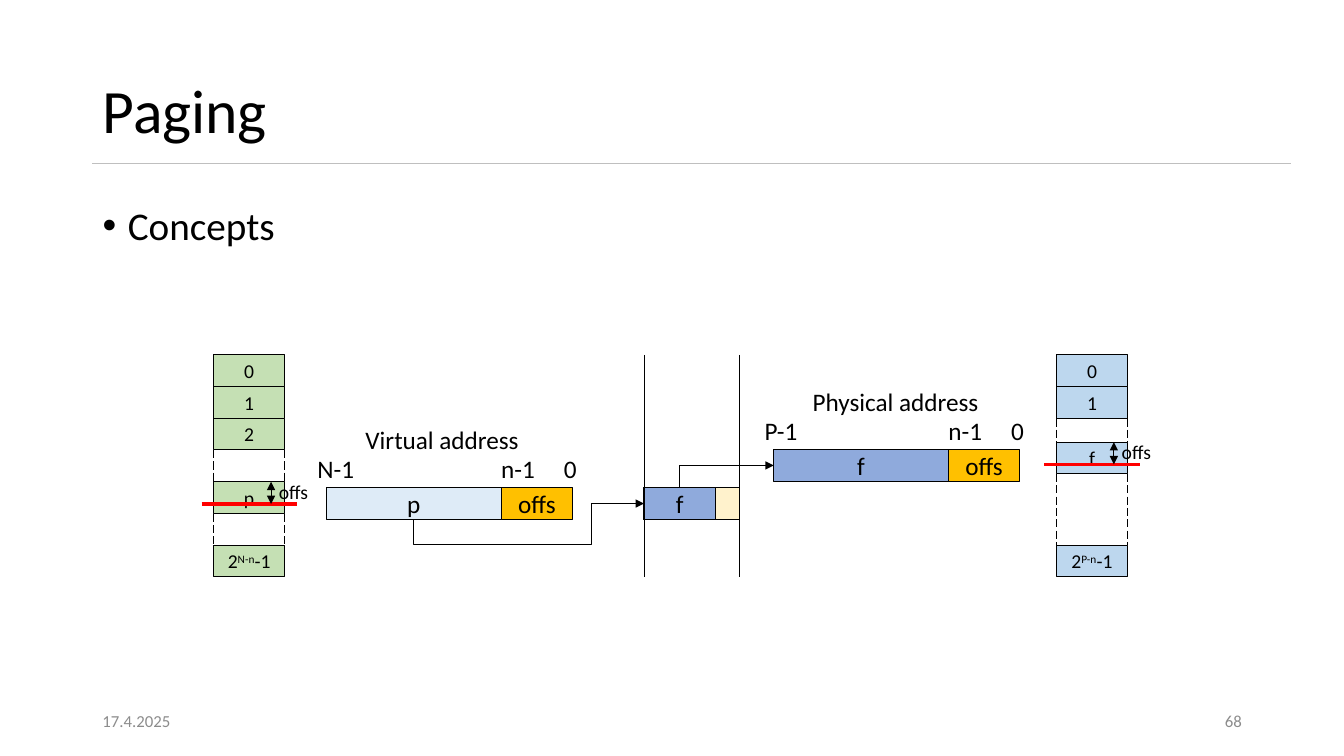
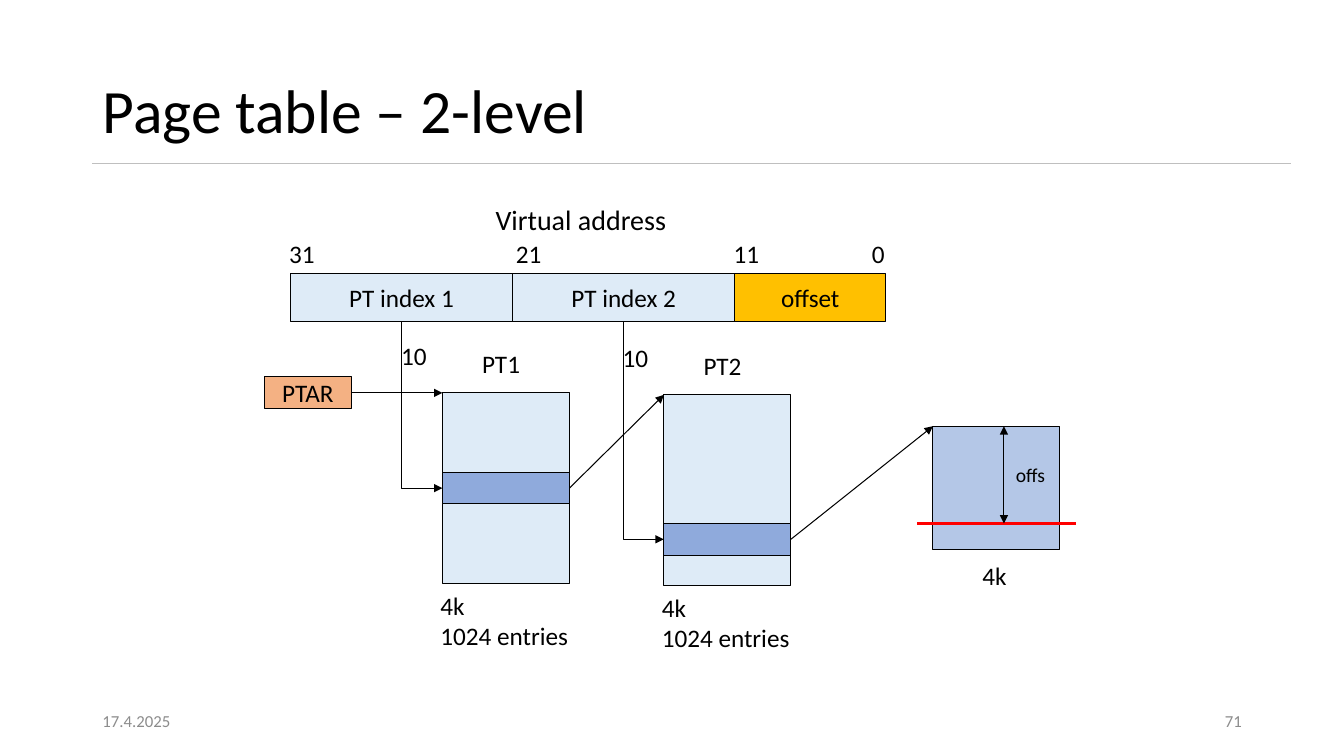
from itertools import pairwise

from lxml.etree import SubElement
from pptx import Presentation
from pptx.dml.color import RGBColor
from pptx.enum.dml import MSO_LINE
from pptx.enum.shapes import MSO_CONNECTOR, MSO_SHAPE
from pptx.enum.text import MSO_ANCHOR, MSO_AUTO_SIZE, PP_ALIGN
from pptx.oxml.ns import qn
from pptx.util import Cm, Pt

COLOURS = {
    "ink": "000000",
    "rule": "BFBFBF",
    "footer": "8C8C8C",
    "page": "C5E0B4",
    "frame": "BDD7EE",
    "index": "DEEBF7",
    "offset": "FFC000",
    "entry": "8FAADC",
    "flags": "FFF2CC",
    "register": "F4B183",
    "target": "B4C7E7",
    "marker": "FF0000",
}
FONT = "Calibri"
DATE = "17.4.2025"
TITLE_ONLY, TITLE_AND_BODY = 5, 1
MARGIN = 2.33
ROW = 0.8
CELL = 1.8
FIELD = 4.4
MEMORY_TOP = 8.94
TABLE_WIDTH = 3.2
TABLE_HEIGHT = 4.8
TOP_SITE, LEFT_SITE, BOTTOM_SITE = 0, 1, 2


def colour(name):
    return RGBColor.from_string(COLOURS[name])


def style(paragraph, size, ink="ink", align=PP_ALIGN.LEFT):
    paragraph.alignment = align
    paragraph.font.name = FONT
    paragraph.font.size = Pt(size)
    paragraph.font.color.rgb = colour(ink)


def place(shape, left, top, width, height):
    shape.left, shape.top = Cm(left), Cm(top)
    shape.width, shape.height = Cm(width), Cm(height)


def box(slide, fill, left, top, width, height, text="", size=18, power=""):
    shape = slide.shapes.add_shape(
        MSO_SHAPE.RECTANGLE, Cm(left), Cm(top), Cm(width), Cm(height))
    shape.shadow.inherit = False
    shape.fill.solid()
    shape.fill.fore_color.rgb = colour(fill)
    shape.line.color.rgb = colour("ink")
    shape.line.width = Pt(0.75)
    if text:
        frame = shape.text_frame
        frame.word_wrap = False
        frame.vertical_anchor = MSO_ANCHOR.MIDDLE
        paragraph = frame.paragraphs[0]
        paragraph.text = text
        if power:
            exponent = paragraph.add_run()
            exponent.text = power
            exponent.font._element.set("baseline", "30000")
            paragraph.add_run().text = "-1"
        style(paragraph, size, align=PP_ALIGN.CENTER)
    return shape


def label(slide, text, left, top, width, size=18):
    caption = slide.shapes.add_textbox(Cm(left), Cm(top), Cm(width), Cm(1))
    frame = caption.text_frame
    frame.word_wrap = False
    frame.auto_size = MSO_AUTO_SIZE.SHAPE_TO_FIT_TEXT
    frame.paragraphs[0].text = text
    style(frame.paragraphs[0], size)


def finish_line(connector, ink="ink", width=0.75, heads=(), dash=None):
    connector.line.color.rgb = colour(ink)
    connector.line.width = Pt(width)
    if dash:
        connector.line.dash_style = dash
    for end in heads:
        SubElement(connector.line._ln, qn(f"a:{end}"), type="triangle")
    SubElement(connector._element.spPr, qn("a:effectLst"))


def line(slide, x1, y1, x2, y2, **look):
    connector = slide.shapes.add_connector(
        MSO_CONNECTOR.STRAIGHT, Cm(x1), Cm(y1), Cm(x2), Cm(y2))
    finish_line(connector, **look)


def arrow(slide, x1, y1, x2, y2):
    line(slide, x1, y1, x2, y2, heads=["tailEnd"])


def elbow(slide, source, target, site=BOTTOM_SITE, bends=()):
    start_x = source.left + source.width // 2
    start_y = source.top + (source.height if site == BOTTOM_SITE else 0)
    end_x, end_y = target.left, target.top + target.height // 2
    connector = slide.shapes.add_connector(
        MSO_CONNECTOR.ELBOW, start_x, start_y, end_x, end_y)
    connector.begin_connect(source, site)
    connector.end_connect(target, LEFT_SITE)

    rising = end_y < start_y
    connector.width, connector.height = abs(end_y - start_y), abs(end_x - start_x)
    connector.left = (start_x + end_x - connector.width) // 2
    connector.top = (start_y + end_y - connector.height) // 2
    transform = connector._element.spPr.find(qn("a:xfrm"))
    transform.set("rot", str((90 if rising else 270) * 60000))
    transform.set("flipH", "1")
    transform.set("flipV", "1" if rising else "0")

    geometry = connector._element.spPr.find(qn("a:prstGeom"))
    geometry.set("prst", f"bentConnector{2 + len(bends)}")
    adjustments = geometry.find(qn("a:avLst"))
    for number, bend in enumerate(bends, 1):
        SubElement(adjustments, qn("a:gd"), name=f"adj{number}",
                   fmla=f"val {round(bend * 100000)}")
    finish_line(connector, heads=["tailEnd"])


def offset_mark(slide, left, top, width, depth, overhang, arrow_x):
    line(slide, left - overhang, top + depth, left + width + overhang, top + depth,
         ink="marker", width=2.25)
    line(slide, arrow_x, top, arrow_x, top + depth, heads=["headEnd", "tailEnd"])


def footer(slide, text, left, align):
    note = slide.shapes.add_textbox(Cm(left), Cm(17.65), Cm(7.62), Cm(1.02))
    note.text_frame.word_wrap = True
    note.text_frame.vertical_anchor = MSO_ANCHOR.MIDDLE
    note.text_frame.paragraphs[0].text = text
    style(note.text_frame.paragraphs[0], 12, "footer", align)


def fill_placeholder(placeholder, text, anchor):
    frame = placeholder.text_frame
    frame.text = text
    frame.auto_size = MSO_AUTO_SIZE.NONE
    frame.vertical_anchor = anchor
    paragraph = frame.paragraphs[0]
    paragraph.line_spacing = 0.9
    paragraph.space_before = Pt(0)
    return paragraph


def new_slide(deck, layout, title, number):
    slide = deck.slides.add_slide(deck.slide_layouts[layout])
    line(slide, MARGIN, 4.12, 32.54, 4.12, ink="rule", width=1)
    place(slide.shapes.title, MARGIN, 1.02, 27, 3.68)
    style(fill_placeholder(slide.shapes.title, title, MSO_ANCHOR.MIDDLE), 44)
    footer(slide, DATE, MARGIN, PP_ALIGN.LEFT)
    footer(slide, number, 23.93, PP_ALIGN.RIGHT)
    return slide


def bullet(slide, text):
    body = slide.placeholders[1]
    place(body, MARGIN, 5.08, 29.21, 1.5)
    paragraph = fill_placeholder(body, text, MSO_ANCHOR.TOP)
    properties = paragraph._p.get_or_add_pPr()
    properties.set("marL", str(Cm(0.64)))
    properties.set("indent", str(-Cm(0.64)))
    SubElement(properties, qn("a:buFont"), typeface="Arial")
    SubElement(properties, qn("a:buChar"), char="•")
    style(paragraph, 28)


def memory(slide, left, fill, rows, marked_row, power):
    tops = [MEMORY_TOP + row * ROW for row in (*rows, 6)]
    for text, top in zip(rows.values(), tops):
        box(slide, fill, left, top, CELL, ROW, text, 14)
    box(slide, fill, left, tops[-1], CELL, ROW, "2", 14, power)
    for upper, lower in pairwise(tops):
        if lower - upper > ROW + 0.01:
            for side in (left, left + CELL):
                line(slide, side, upper + ROW, side, lower, dash=MSO_LINE.LONG_DASH)
    marked_top = MEMORY_TOP + marked_row * ROW
    offset_mark(slide, left, marked_top, CELL, 0.56, 0.3, left + 1.45)
    label(slide, "offs", left + 1.4, marked_top - 0.18, 1.3, 14)


def address(slide, left, top, title, title_width, high_bit, text, fill):
    number = box(slide, fill, left, top, FIELD, ROW, text)
    box(slide, "offset", left + FIELD, top, CELL, ROW, "offs")
    label(slide, title, left + 0.73, top - 1.72, title_width)
    for bit, shift, width in ((high_bit, -0.48, 1.6), ("n-1", 4.15, 1.5), ("0", 5.73, 0.86)):
        label(slide, bit, left + shift, top - 0.98, width)
    return number


def paging_slide(deck):
    slide = new_slide(deck, TITLE_AND_BODY, "Paging", "68")
    bullet(slide, "Concepts")
    memory(slide, 5.38, "page", {0: "0", 1: "1", 2: "2", 4: "p"}, 4, "N-n")
    memory(slide, 26.62, "frame", {0: "0", 1: "1", 2.75: "f"}, 2.75, "P-n")

    page = address(slide, 8.23, 12.29, "Virtual address", 4.5, "N-1", "p", "index")
    frame = address(slide, 19.5, 11.33, "Physical address", 4.8, "P-1", "f", "entry")

    table_left, table_width = 16.23, 2.4
    for side in (table_left, table_left + table_width):
        line(slide, side, MEMORY_TOP, side, MEMORY_TOP + 7 * ROW)
    box(slide, "flags", table_left, 12.29, table_width, ROW)
    entry = box(slide, "entry", table_left, 12.29, CELL, ROW, "f")
    elbow(slide, page, entry, bends=(-1.59, 0.77))
    elbow(slide, entry, frame, TOP_SITE)


def page_table(slide, name, left, top, entry_depth, index):
    box(slide, "index", left, top, TABLE_WIDTH, TABLE_HEIGHT)
    entry = box(slide, "entry", left, top + entry_depth, TABLE_WIDTH, ROW)
    elbow(slide, index, entry)
    label(slide, "10", left - 1.29, top - 1.45, 1.17)
    label(slide, name, left + 0.75, top - 1.25, 1.47)
    label(slide, "4k\v1024 entries", left - 0.3, top + 4.84, 3.76)
    return left + TABLE_WIDTH, top + entry_depth + ROW / 2


def two_level_slide(deck):
    slide = new_slide(deck, TITLE_ONLY, "Page table – 2-level", "71")
    left, top, index_width = 7.32, 6.9, 5.6
    first, second = [
        box(slide, "index", left + i * index_width, top, index_width, 1.2, f"PT index {i + 1}")
        for i in range(2)]
    box(slide, "offset", left + 2 * index_width, top, 3.8, 1.2, "offset")
    label(slide, "Virtual address", 12.24, 4.98, 4.85, 20)
    for bit, bit_left, width in (
            ("31", 7.04, 1.17), ("21", 12.75, 1.17), ("11", 18.24, 1.17), ("0", 21.72, 0.86)):
        label(slide, bit, bit_left, 5.87, width)

    pt1, pt2, target = (11.15, 9.9), (16.73, 9.95), (23.51, 10.74)
    first_exit = page_table(slide, "PT1", *pt1, 2, first)
    second_exit = page_table(slide, "PT2", *pt2, 3.24, second)
    box(slide, "register", 6.66, 9.5, 2.2, ROW, "PTAR")
    box(slide, "target", *target, TABLE_WIDTH, 3.1)
    arrow(slide, 8.86, 9.9, *pt1)
    arrow(slide, *first_exit, *pt2)
    arrow(slide, *second_exit, *target)
    offset_mark(slide, *target, TABLE_WIDTH, 2.45, 0.4, 25.3)
    label(slide, "offs", 25.35, 11.55, 1.3, 14)
    label(slide, "4k", 24.51, 14, 1.12)


def main():
    deck = Presentation()
    deck.slide_width, deck.slide_height = Cm(33.87), Cm(19.05)
    paging_slide(deck)
    two_level_slide(deck)
    deck.save("out.pptx")


if __name__ == "__main__":
    main()
